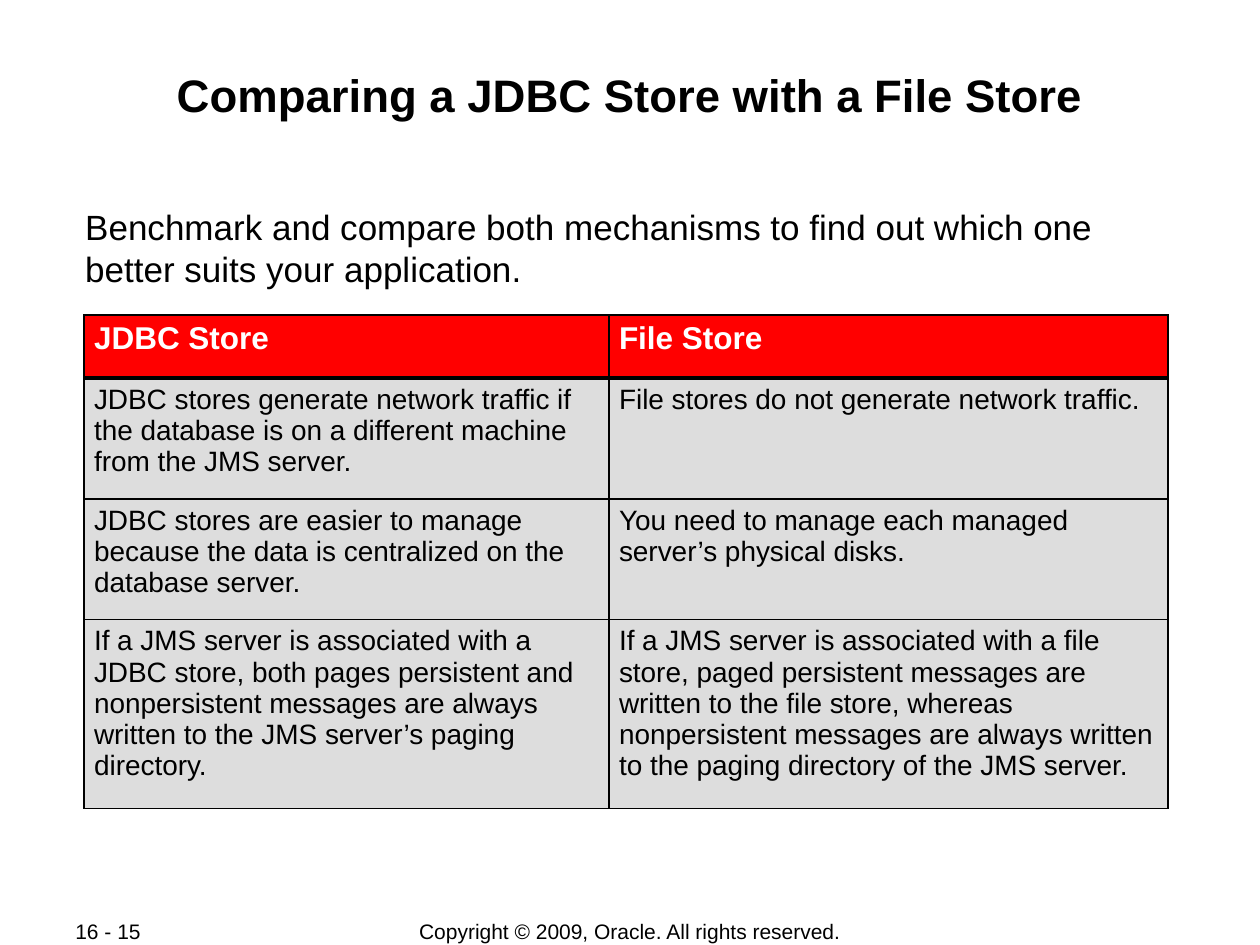
from dataclasses import dataclass

import lxml.etree
import pptx
import pptx.dml.color
import pptx.enum.text
import pptx.oxml.ns
import pptx.util

SLIDE_WIDTH = 10
SLIDE_HEIGHT = 7.5
GRID_COLUMNS = 120
GRID_ROWS = 90
FONT = "Arial"
BLACK = "000000"
WHITE = "FFFFFF"
RED = "FF0000"
GRAY = "DDDDDD"
THIN_LINE = 1.08
THICK_LINE = 2.21
ALIGN = pptx.enum.text.PP_ALIGN
ANCHOR = pptx.enum.text.MSO_ANCHOR


@dataclass(frozen=True)
class TextStyle:
    size: float
    color: str = BLACK
    bold: bool = False
    align: ALIGN = ALIGN.LEFT


@dataclass(frozen=True)
class TextBlock:
    text: str
    column: float
    row: float
    columns: float
    rows: float
    style: TextStyle
    insets: tuple[float, float, float, float]
    anchor: ANCHOR = ANCHOR.TOP
    wrap: bool = True


HEADER_STYLE = TextStyle(18, WHITE, bold=True)
CELL_STYLE = TextStyle(16)
BODY_INSETS = (0.01, 0.05, 0.01, 0.01)
FOOTER_INSETS = (0.1, 0.05, 0.1, 0.05)
CELL_INSETS = (0.08, 0.05, 0.08, 0.05)

TEXT_BLOCKS = [
    TextBlock("Copyright © 2009, Oracle. All rights reserved.", 33, 87.4, 54, 2.5,
              TextStyle(12, align=ALIGN.CENTER), FOOTER_INSETS, ANCHOR.MIDDLE, False),
    TextBlock("16 - 15", 6, 87.4, 12.7, 2.5,
              TextStyle(12), FOOTER_INSETS, ANCHOR.MIDDLE, False),
    TextBlock("Comparing a JDBC Store with a File Store", 8, 5.75, 104, 11.5,
              TextStyle(26, bold=True, align=ALIGN.CENTER), BODY_INSETS),
    TextBlock("Benchmark and compare both mechanisms to find out which one better suits "
              "your application.", 8, 19, 102, 8.25, TextStyle(20), BODY_INSETS),
]

TABLE_COLUMN = 8
TABLE_ROW = 30
COLUMN_SPANS = [50, 53.25]
ROW_SPANS = [6, 11.5, 11.5, 18]
COMPARISON = [
    ("JDBC Store", "File Store"),
    ("JDBC stores generate network traffic if the database is on a different machine "
     "from the JMS server.",
     "File stores do not generate network traffic."),
    ("JDBC stores are easier to manage because the data is centralized on the database "
     "server.",
     "You need to manage each managed server’s physical disks."),
    ("If a JMS server is associated with a JDBC store, both pages persistent and "
     "nonpersistent messages are always written to the JMS server’s paging directory.",
     "If a JMS server is associated with a file store, paged persistent messages are "
     "written to the file store, whereas nonpersistent messages are always written to "
     "the paging directory of the JMS server."),
]


def across(columns: float) -> pptx.util.Length:
    return pptx.util.Inches(SLIDE_WIDTH * columns / GRID_COLUMNS)


def down(rows: float) -> pptx.util.Length:
    return pptx.util.Inches(SLIDE_HEIGHT * rows / GRID_ROWS)


def rgb(color: str) -> pptx.dml.color.RGBColor:
    return pptx.dml.color.RGBColor.from_string(color)


def write(text_frame, text: str, style: TextStyle) -> None:
    paragraph = text_frame.paragraphs[0]
    paragraph.alignment = style.align
    run = paragraph.add_run()
    run.text = text
    run.font.name = FONT
    run.font.size = pptx.util.Pt(style.size)
    run.font.bold = style.bold
    run.font.color.rgb = rgb(style.color)


def set_insets(target, insets: tuple[float, float, float, float]) -> None:
    (target.margin_left, target.margin_top,
     target.margin_right, target.margin_bottom) = map(pptx.util.Inches, insets)


def add_text(slide, block: TextBlock) -> None:
    shape = slide.shapes.add_textbox(across(block.column), down(block.row),
                                     across(block.columns), down(block.rows))
    text_frame = shape.text_frame
    text_frame.word_wrap = block.wrap
    text_frame.vertical_anchor = block.anchor
    set_insets(text_frame, block.insets)
    write(text_frame, block.text, block.style)


def add_borders(cell, top: float, bottom: float) -> None:
    properties = cell._tc.get_or_add_tcPr()
    widths = {"lnL": THIN_LINE, "lnR": THIN_LINE, "lnT": top, "lnB": bottom}
    for position, (side, width) in enumerate(widths.items()):
        line = lxml.etree.Element(pptx.oxml.ns.qn(f"a:{side}"),
                                  w=str(int(pptx.util.Pt(width))))
        fill = lxml.etree.SubElement(line, pptx.oxml.ns.qn("a:solidFill"))
        lxml.etree.SubElement(fill, pptx.oxml.ns.qn("a:srgbClr"), val=BLACK)
        properties.insert(position, line)


def add_comparison(slide) -> None:
    table = slide.shapes.add_table(
        len(ROW_SPANS), len(COLUMN_SPANS), across(TABLE_COLUMN), down(TABLE_ROW),
        across(sum(COLUMN_SPANS)), down(sum(ROW_SPANS))).table
    for column, span in zip(table.columns, COLUMN_SPANS):
        column.width = across(span)
    for index, (row, span, texts) in enumerate(zip(table.rows, ROW_SPANS, COMPARISON)):
        row.height = down(span)
        is_header = index == 0
        for cell, text in zip(row.cells, texts):
            cell.fill.solid()
            cell.fill.fore_color.rgb = rgb(RED if is_header else GRAY)
            set_insets(cell, CELL_INSETS)
            write(cell.text_frame, text, HEADER_STYLE if is_header else CELL_STYLE)
            add_borders(cell, top=THICK_LINE if index == 1 else THIN_LINE,
                        bottom=THICK_LINE if is_header else THIN_LINE)


def main() -> None:
    presentation = pptx.Presentation()
    presentation.slide_width = pptx.util.Inches(SLIDE_WIDTH)
    presentation.slide_height = pptx.util.Inches(SLIDE_HEIGHT)
    slide = presentation.slides.add_slide(presentation.slide_layouts[6])
    slide.background.fill.solid()
    slide.background.fill.fore_color.rgb = rgb(WHITE)
    for block in TEXT_BLOCKS:
        add_text(slide, block)
    add_comparison(slide)
    presentation.save("out.pptx")


if __name__ == "__main__":
    main()
